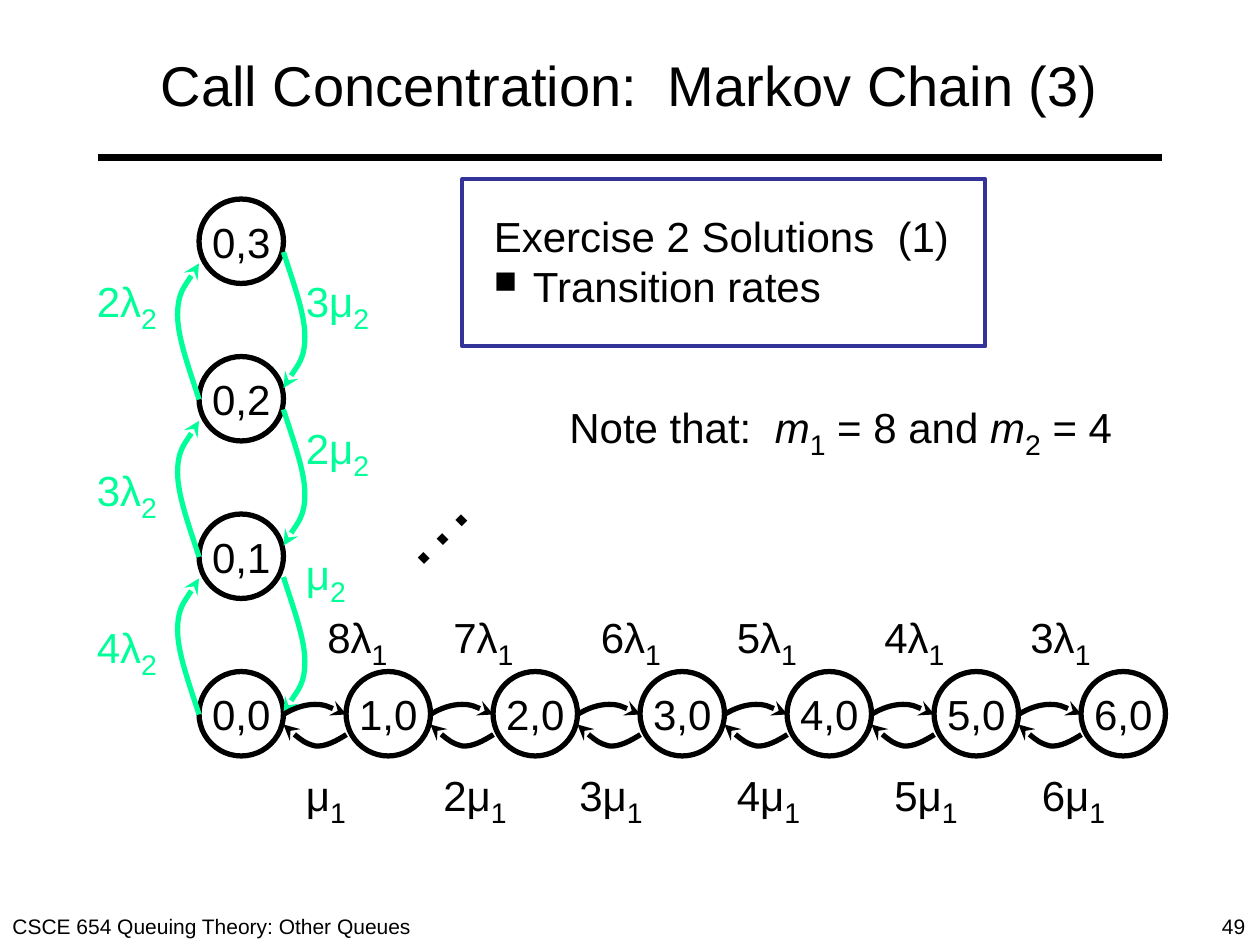
"""Build the call concentration Markov chain slide with its transition rates."""
from dataclasses import dataclass

from lxml import etree
from pptx import Presentation
from pptx import util as u
from pptx.dml.color import RGBColor
from pptx.enum import shapes, text
from pptx.oxml import ns


@dataclass(frozen=True)
class Theme:
    font: str = "Arial"
    black: RGBColor = RGBColor(0x00, 0x00, 0x00)
    green: RGBColor = RGBColor(0x00, 0xFF, 0x99)
    blue: RGBColor = RGBColor(0x33, 0x33, 0x99)
    title: int = 32
    body: int = 24
    subscript: int = 28
    footer: int = 12
    dots: int = 48
    stroke: int = 3


theme = Theme()
deck = Presentation()
deck.slide_width, deck.slide_height = u.Inches(10), u.Inches(7.5)
page = deck.slides.add_slide(deck.slide_layouts[6])


def add_label(left, top, width, height, parts, size=theme.body, color=theme.black):
    box = page.shapes.add_textbox(*map(u.Inches, (left, top, width, height)))
    box.text_frame.word_wrap = False
    box.text_frame.auto_size = text.MSO_AUTO_SIZE.SHAPE_TO_FIT_TEXT
    para = box.text_frame.paragraphs[0]
    para.font.name, para.font.size = theme.font, u.Pt(size)
    para.font.color.rgb = color
    for wording, style in parts:
        span = para.add_run()
        span.text = wording
        if style == "italic":
            span.font.italic = True
        elif style == "subscript":
            span.font.size = u.Pt(theme.subscript)
            span.font._element.set("baseline", "-25000")
    return box


def add_arc(left, top, offsets, color, sign=1):
    points = [(u.Inches(left + sign * dx), u.Inches(top + sign * dy)) for dx, dy in offsets]
    builder = page.shapes.build_freeform(*points[0])
    builder.add_line_segments(points[1:], close=False)
    arc = builder.convert_to_shape()
    arc.shadow.inherit = False
    arc.fill.background()
    arc.line.color.rgb, arc.line.width = color, u.Pt(theme.stroke)
    etree.SubElement(arc.line._get_or_add_ln(), ns.qn("a:tailEnd"), type="stealth")
    segments = list(arc._element.iter(ns.qn("a:lnTo")))
    for first in range(0, len(segments), 3):
        curve = etree.Element(ns.qn("a:cubicBezTo"))
        segments[first].addprevious(curve)
        for segment in segments[first:first + 3]:
            curve.append(segment[0])
            segment.getparent().remove(segment)


rule = page.shapes.add_connector(
    shapes.MSO_CONNECTOR.STRAIGHT, *map(u.Inches, (0.78, 1.25, 9.22, 1.25)))
rule.line.color.rgb, rule.line.width = theme.black, u.Pt(4.5)
etree.SubElement(rule._element.spPr, ns.qn("a:effectLst"))

add_label(0, 7.2, 4.08, 0.3, [("CSCE 654 Queuing Theory: Other Queues", "")], theme.footer)
add_label(9.6, 7.2, 0.4, 0.3, [("49", "")], theme.footer)
title = add_label(0.5, 0.17, 9, 1, [("Call Concentration:  Markov Chain (3)", "")], theme.title)
title.text_frame.word_wrap = True
title.text_frame.auto_size = text.MSO_AUTO_SIZE.NONE
title.text_frame.vertical_anchor = text.MSO_ANCHOR.MIDDLE
title.text_frame.paragraphs[0].alignment = text.PP_ALIGN.CENTER

exercise = page.shapes.add_shape(
    shapes.MSO_SHAPE.RECTANGLE, *map(u.Inches, (3.67, 1.42, 4.15, 1.33)))
exercise.shadow.inherit = False
exercise.fill.background()
exercise.line.color.rgb, exercise.line.width = theme.blue, u.Pt(2.25)
frame = exercise.text_frame
frame.word_wrap = False
frame.vertical_anchor = text.MSO_ANCHOR.TOP
frame.margin_left = frame.margin_right = frame.margin_top = frame.margin_bottom = u.Inches(0.25)
frame.text = "Exercise 2 Solutions  (1)\nTransition rates"
for para in frame.paragraphs:
    para.alignment = text.PP_ALIGN.LEFT
    para.font.name, para.font.size = theme.font, u.Pt(theme.body)
    para.font.color.rgb = theme.black
    indent = para._p.get_or_add_pPr()
    indent.set("marL", str(u.Inches(0.31)))
    indent.set("indent", str(-u.Inches(0.31)))
bullet_size = etree.Element(ns.qn("a:buSzPct"), val="75000")
bullet = etree.Element(ns.qn("a:buChar"), char="■")
indent.insert(0, bullet_size)
indent.insert(1, bullet)

origin_x, origin_y, step_x, step_y, diameter = 1.58, 5.33, 7 / 6, 1.25, 0.67
states = [(column, 0) for column in range(7)] + [(0, row) for row in range(1, 4)]
for column, row in states:
    node = page.shapes.add_shape(
        shapes.MSO_SHAPE.OVAL, u.Inches(origin_x + column * step_x),
        u.Inches(origin_y - row * step_y), u.Inches(diameter), u.Inches(diameter))
    node.shadow.inherit = False
    node.fill.background()
    node.line.color.rgb, node.line.width = theme.black, u.Pt(theme.stroke)
    node.text_frame.word_wrap = False
    node.text_frame.vertical_anchor = text.MSO_ANCHOR.MIDDLE
    para = node.text_frame.paragraphs[0]
    para.text = f"{column},{row}"
    para.alignment = text.PP_ALIGN.CENTER
    para.font.name, para.font.size = theme.font, u.Pt(theme.body)
    para.font.color.rgb = theme.black

vertical = [(0, 0), (0.08, 0.25), (0.17, 0.49), (0.17, 0.67), (0.17, 0.85), (0.03, 1.02), (0, 1.08)]
forward = [(0, 0), (0.08, -0.05), (0.17, -0.08), (0.25, -0.08), (0.33, -0.08), (0.46, -0.02), (0.5, 0)]
backward = [(0, 0), (-0.08, 0.05), (-0.17, 0.1), (-0.25, 0.09), (-0.33, 0.07), (-0.42, 0), (-0.5, -0.08)]
for row, down_top in enumerate((4.58, 3.25, 2)):
    add_arc(origin_x, 5.67 - row * step_y, vertical, theme.green, sign=-1)
    add_arc(origin_x + diameter, down_top, vertical, theme.green)
for column in range(6):
    edge = origin_x + diameter + column * step_x
    add_arc(edge, 5.67, forward, theme.black)
    add_arc(edge + 0.5, 5.83, backward, theme.black)

arrival_lefts = (2.5, 3.5, 4.67, 5.75, 6.92, 8.08)
service_lefts = (2.33, 3.42, 4.5, 5.75, 7, 8.17)
rates = [(left, 4.75, f"{8 - i}λ", "1", theme.black) for i, left in enumerate(arrival_lefts)]
rates += [(left, 6, f"{i}μ" if i > 1 else "μ", "1", theme.black)
          for i, left in enumerate(service_lefts, 1)]
rates += [(0.67, top, f"{4 - i}λ", "2", theme.green) for i, top in enumerate((4.83, 3.58, 2.08))]
rates += [(2.33, top, f"{i}μ" if i > 1 else "μ", "2", theme.green)
          for i, top in enumerate((4.25, 3.25, 2.08), 1)]
for left, top, rate, index, color in rates:
    width = 0.54 if rate == "μ" else 0.73
    add_label(left, top, width, 0.5, [(rate, ""), (index, "subscript")], color=color)

add_label(2.92, 3.67, 0.87, 0.9, [("…", "")], theme.dots).rotation = 315
add_label(4.42, 3.08, 4.55, 0.5, [
    ("Note that:  ", ""), ("m", "italic"), ("1", "subscript"), (" = 8 and ", ""),
    ("m", "italic"), ("2", "subscript"), (" = 4", "")])

deck.save("out.pptx")
